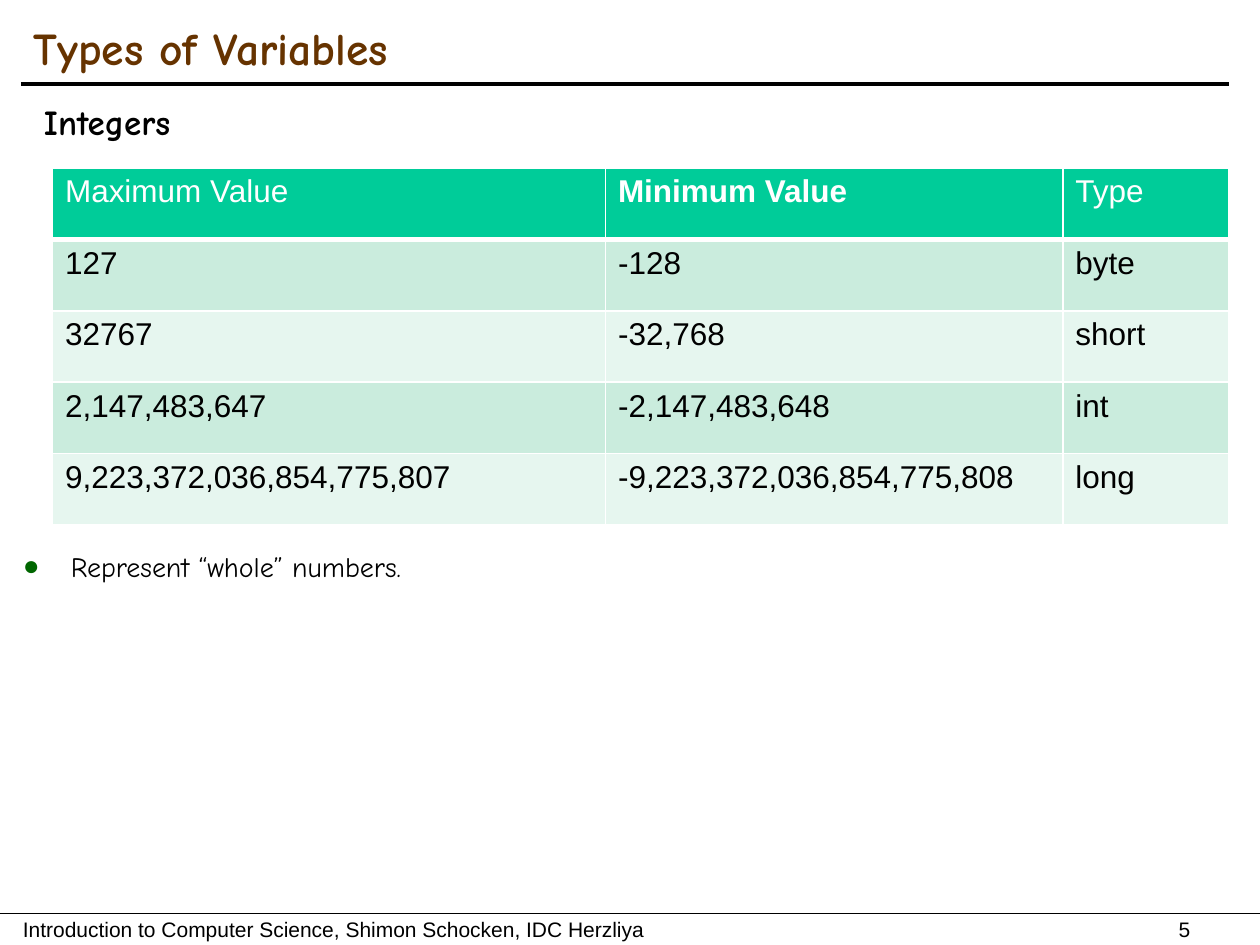
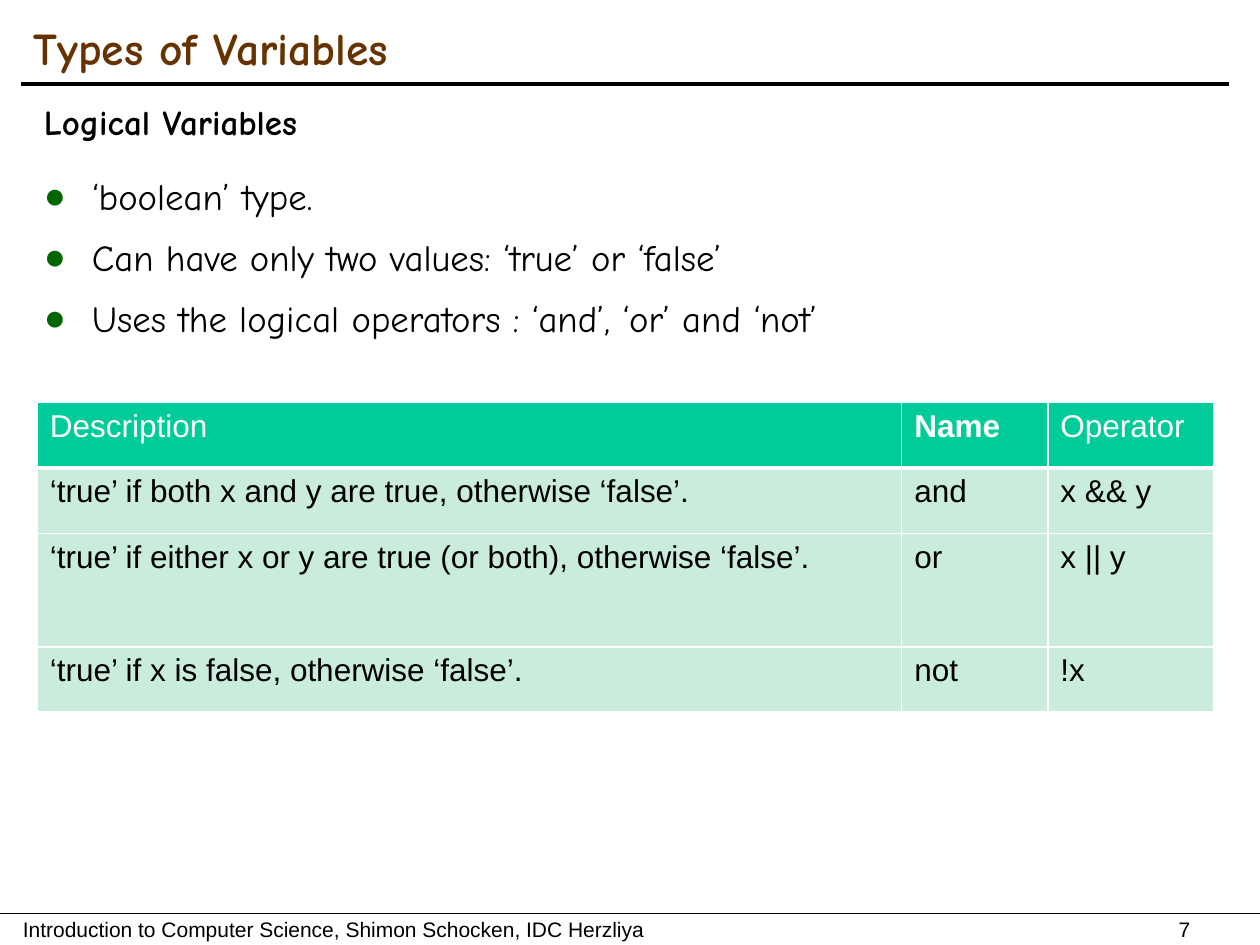
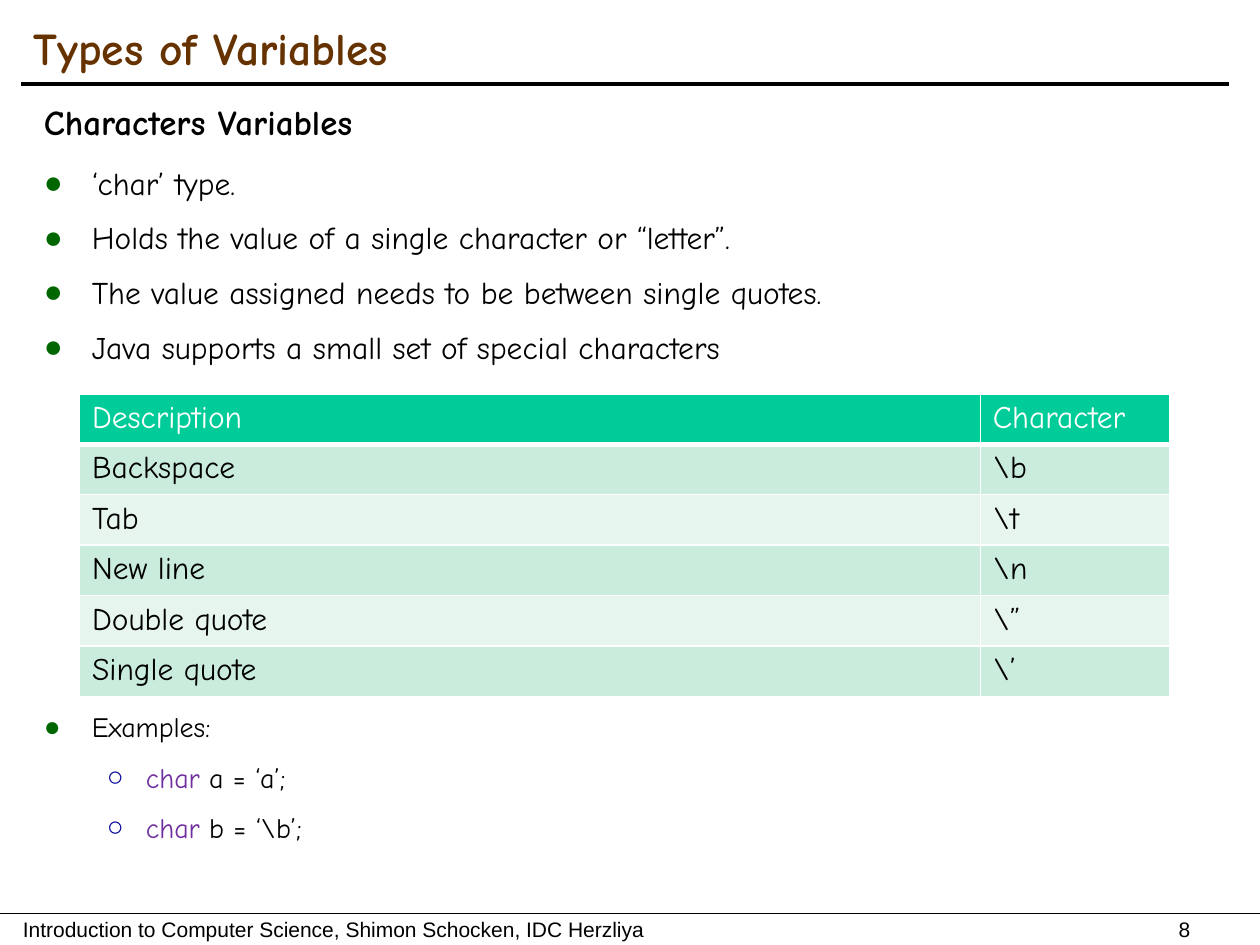
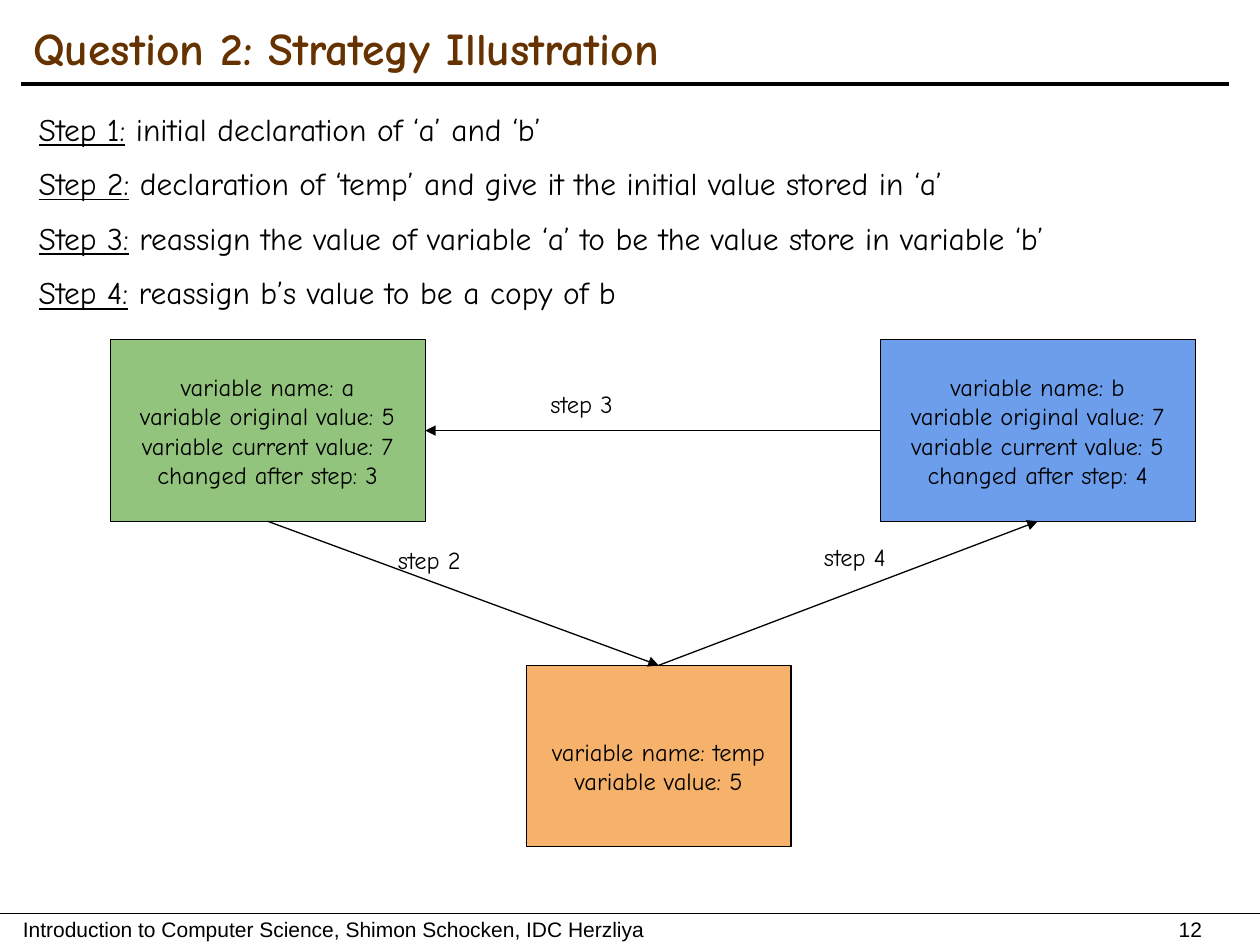
import pptx
import pptx.dml.color
import pptx.enum.shapes
import pptx.enum.text
import pptx.oxml
import pptx.oxml.ns
import pptx.util
from lxml import etree

Pt = pptx.util.Pt
ALIGN = pptx.enum.text.PP_ALIGN
ANCHOR = pptx.enum.text.MSO_ANCHOR

COLORS = {
    "black": "000000", "white": "FFFFFF", "title": "663300", "keyword": "7030A0",
    "bullet": "006600", "sub_bullet": "000099",
    "header": "00CC99", "band_dark": "CAECDD", "band_light": "E6F6EF",
    "green": "93C47D", "blue": "6D9EEB", "orange": "F6B26B",
}
SANS, COMIC = "Arial", "Comic Neue"
FOOTER = "Introduction to Computer Science, Shimon Schocken, IDC Herzliya"
GAP = 9.6
# character, colour, left margin, hanging indent for each list level
BULLETS = [("●", "bullet", 27.4, 27.4), ("○", "sub_bullet", 58.3, 22.3)]

INTEGERS = [
    ("Maximum Value", "Minimum Value", "Type"),
    ("127", "-128", "byte"),
    ("32767", "-32,768", "short"),
    ("2,147,483,647", "-2,147,483,648", "int"),
    ("9,223,372,036,854,775,807", "-9,223,372,036,854,775,808", "long"),
]
OPERATORS = [
    ("Description", "Name", "Operator"),
    ("‘true’ if both x and y are true, otherwise ‘false’.", "and", "x && y"),
    ("‘true’ if either x or y are true (or both), otherwise ‘false’.", "or", "x || y"),
    ("‘true’ if x is false, otherwise ‘false’.", "not", "!x"),
]
SPECIAL_CHARACTERS = [
    ("Description", "Character"),
    ("Backspace", "\\b"),
    ("Tab", "\\t"),
    ("New line", "\\n"),
    ("Double quote", "\\”"),
    ("Single quote", "\\’"),
]
BOOLEAN_POINTS = [
    "‘boolean’ type.",
    "Can have only two values: ‘true’ or ‘false’",
    "Uses the logical operators : ‘and’, ‘or’ and ‘not’",
]
CHAR_POINTS = [
    "‘char’ type.",
    "Holds the value of a single character or “letter”.",
    "The value assigned needs to be between single quotes.",
    "Java supports a small set of special characters",
]
KEYWORD = {"color": "keyword"}
CHAR_EXAMPLES = [
    "Examples:",
    [("char", KEYWORD), (" a = ‘a’;", {})],
    [("char", KEYWORD), (" b = ‘\\b’;", {})],
]
STEPS = [
    ("Step 1:", " initial declaration of ‘a’ and ‘b’"),
    ("Step 2:", " declaration of ‘temp’ and give it the initial value stored in ‘a’"),
    ("Step 3:", " reassign the value of variable ‘a’ to be the value store in variable ‘b’"),
    ("Step 4:", " reassign b’s value to be a copy of b"),
]
# name: (box, fill, top inset, anchor, lines)
VARIABLES = {
    "a": ((63, 194.2, 180, 103.7), "green", 7.2, ANCHOR.MIDDLE,
          ["variable name: a", "variable original value: 5",
           "variable current value: 7", "changed after step: 3"]),
    "b": ((503, 194.2, 180, 103.7), "blue", 7.2, ANCHOR.MIDDLE,
          ["variable name: b", "variable original value: 7",
           "variable current value: 5", "changed after step: 4"]),
    "temp": ((300.8, 380.2, 151.2, 103.7), "orange", 40.8, ANCHOR.TOP,
             ["variable name: temp", "variable value: 5"]),
}
TOP, LEFT, BOTTOM, RIGHT = range(4)
# from, side, to, side, label, label position
MOVES = [
    ("a", BOTTOM, "temp", TOP, "step 2", (220.3, 304)),
    ("b", LEFT, "a", RIGHT, "step 3", (307.4, 215)),
    ("temp", TOP, "b", BOTTOM, "step 4", (463.7, 302.4)),
]


def rgb(name):
    return pptx.dml.color.RGBColor.from_string(COLORS[name])


def sub(parent, tag, **attrs):
    return etree.SubElement(parent, pptx.oxml.ns.qn(tag), attrs)


def add_bullet(p, level):
    char, color, margin, hang = BULLETS[level]
    p.level = level
    pPr = p._p.get_or_add_pPr()
    pPr.set("marL", str(Pt(margin)))
    pPr.set("indent", str(-Pt(hang)))
    sub(sub(pPr, "a:buClr"), "a:srgbClr", val=COLORS[color])
    sub(pPr, "a:buFont", typeface=SANS)
    sub(pPr, "a:buChar", char=char)


def write(tf, paragraphs, size=18, font=COMIC, color="black", bold=False,
          align=ALIGN.LEFT, gap=0, levels=None, tab=None):
    """Fill a text frame; a paragraph is a string or a list of (text, overrides)."""
    for i, runs in enumerate(paragraphs):
        p = tf.add_paragraph() if i else tf.paragraphs[0]
        if levels:
            add_bullet(p, levels[i])
        if tab:
            tabs = sub(p._p.get_or_add_pPr(), "a:tabLst")
            sub(tabs, "a:tab", pos=str(Pt(tab)), algn="l")
        p.alignment = align
        if i and gap:
            p.space_before = Pt(gap)
        for text, extra in [(runs, {})] if isinstance(runs, str) else runs:
            r = p.add_run()
            r.text = text
            r.font.size, r.font.name, r.font.bold = Pt(size), font, bold
            r.font.color.rgb = rgb(extra.get("color", color))
            if extra.get("underline"):
                r.font.underline = True


def set_frame(tf, inset, anchor, top=None):
    tf.word_wrap = True
    tf.vertical_anchor = anchor
    tf.margin_left = tf.margin_right = Pt(7.2)
    tf.margin_top, tf.margin_bottom = Pt(top or inset), Pt(inset)


def add_text(s, box, paragraphs, inset=3.6, anchor=ANCHOR.TOP, **fmt):
    tf = s.shapes.add_textbox(*map(Pt, box)).text_frame
    set_frame(tf, inset, anchor)
    write(tf, paragraphs, **fmt)


def add_line(s, start, end, width):
    c = s.shapes.add_connector(pptx.enum.shapes.MSO_CONNECTOR.STRAIGHT,
                               *map(Pt, start + end))
    c.line.color.rgb = rgb("black")
    c.line.width = Pt(width)
    sub(c._element.spPr, "a:effectLst")
    return c


def add_slide(prs, title, number, heading=None):
    s = prs.slides.add_slide(prs.slide_layouts[6])
    add_line(s, (12, 48), (702, 48), 2)
    add_line(s, (0, 522), (720, 522), 1)
    add_text(s, (6, 520, 714, 21.6), [f"{FOOTER}\t{number}"], size=12, font=SANS,
             anchor=ANCHOR.MIDDLE, tab=660.5)
    add_text(s, (12, 6, 690, 42), [title], size=26, color="title", bold=True,
             anchor=ANCHOR.MIDDLE)
    if heading:
        add_text(s, (18, 54, 690, 42), [heading], size=20, bold=True)
    return s


def add_borders(cell, bottom):
    tcPr = cell._tc.get_or_add_tcPr()
    for side, width in (("L", 1), ("R", 1), ("T", 1), ("B", bottom)):
        ln = sub(tcPr, f"a:ln{side}", w=str(Pt(width)))
        sub(sub(ln, "a:solidFill"), "a:srgbClr", val=COLORS["white"])


def add_table(s, left, top, widths, heights, rows, bands, font=SANS, bold_column=None):
    table = s.shapes.add_table(len(rows), len(widths), Pt(left), Pt(top),
                               Pt(sum(widths)), Pt(sum(heights))).table
    for column, width in zip(table.columns, widths):
        column.width = Pt(width)
    for i, (values, height) in enumerate(zip(rows, heights)):
        table.rows[i].height = Pt(height)
        for j, value in enumerate(values):
            cell = table.cell(i, j)
            header = i == 0
            add_borders(cell, 3 if header else 1)
            cell.fill.solid()
            cell.fill.fore_color.rgb = rgb("header" if header else bands[(i - 1) % len(bands)])
            write(cell.text_frame, [value], font=font, bold=header and j == bold_column,
                  color="white" if header else "black")


def add_variable(s, box, fill, top, anchor, lines):
    sp = s.shapes.add_shape(pptx.enum.shapes.MSO_SHAPE.RECTANGLE, *map(Pt, box))
    sp.shadow.inherit = False
    sp.fill.solid()
    sp.fill.fore_color.rgb = rgb(fill)
    sp.line.color.rgb = rgb("black")
    sp.line.width = Pt(0.75)
    set_frame(sp.text_frame, 7.2, anchor, top)
    write(sp.text_frame, lines, size=14, align=ALIGN.CENTER)
    return sp


def add_move(s, source, source_side, target, target_side):
    c = add_line(s, (0, 0), (0, 0), 0.75)
    c.begin_connect(source, source_side)
    c.end_connect(target, target_side)
    sub(c.line._get_or_add_ln(), "a:tailEnd", type="triangle")


def main():
    prs = pptx.Presentation()
    prs.slide_width, prs.slide_height = Pt(720), Pt(540)
    striped = ("band_dark", "band_light")

    s = add_slide(prs, "Types of Variables", 5, "Integers")
    add_text(s, (6, 310.3, 690, 170), ["Represent “whole” numbers."], size=16, levels=[0])
    add_table(s, 30, 96, (316, 261.4, 95), [40.8] * 5, INTEGERS, striped, bold_column=1)

    s = add_slide(prs, "Types of Variables", 7, "Logical Variables")
    add_text(s, (18, 96, 678, 120), BOOLEAN_POINTS, size=21, gap=GAP, levels=[0] * 3)
    add_table(s, 21.3, 230, (494, 83.5, 95), (37.4, 37.4, 64.8, 37.4), OPERATORS,
              ("band_dark",), bold_column=1)

    s = add_slide(prs, "Types of Variables", 8, "Characters Variables")
    add_text(s, (18, 90, 678, 130), CHAR_POINTS, gap=GAP, levels=[0] * 4)
    add_text(s, (18, 402, 678, 96), CHAR_EXAMPLES, size=16, gap=GAP, levels=[0, 1, 1])
    add_table(s, 45.4, 225, (514.8, 108.4), [25.2] * 6, SPECIAL_CHARACTERS, striped,
              font=COMIC)

    s = add_slide(prs, "Question 2: Strategy Illustration", 12)
    add_text(s, (15, 55.4, 683, 131),
             [[(step, {"underline": True}), (action, {})] for step, action in STEPS],
             inset=7.2, gap=GAP)
    boxes = {name: add_variable(s, *parts) for name, parts in VARIABLES.items()}
    for source, source_side, target, target_side, label, position in MOVES:
        add_move(s, boxes[source], source_side, boxes[target], target_side)
        add_text(s, position + (137.5, 18), [label], size=14, inset=7.2)

    prs.save("out.pptx")


if __name__ == "__main__":
    main()
